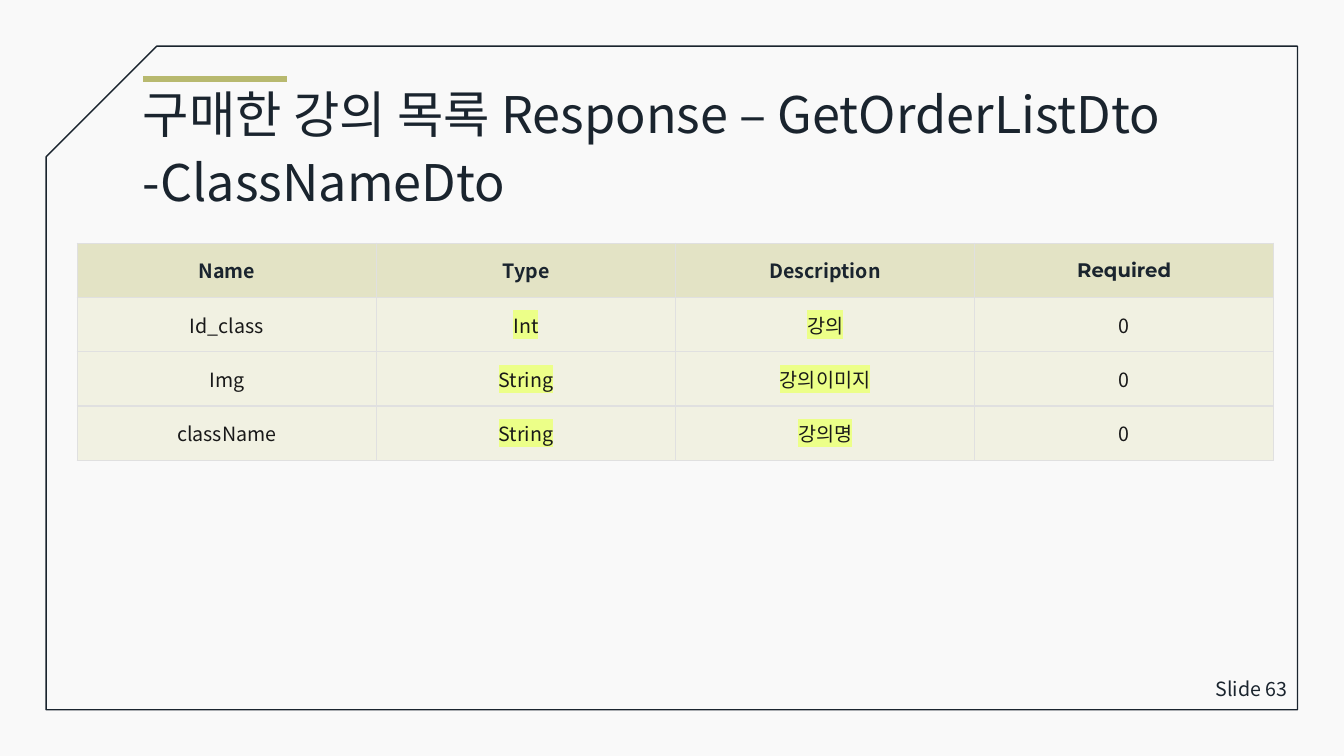
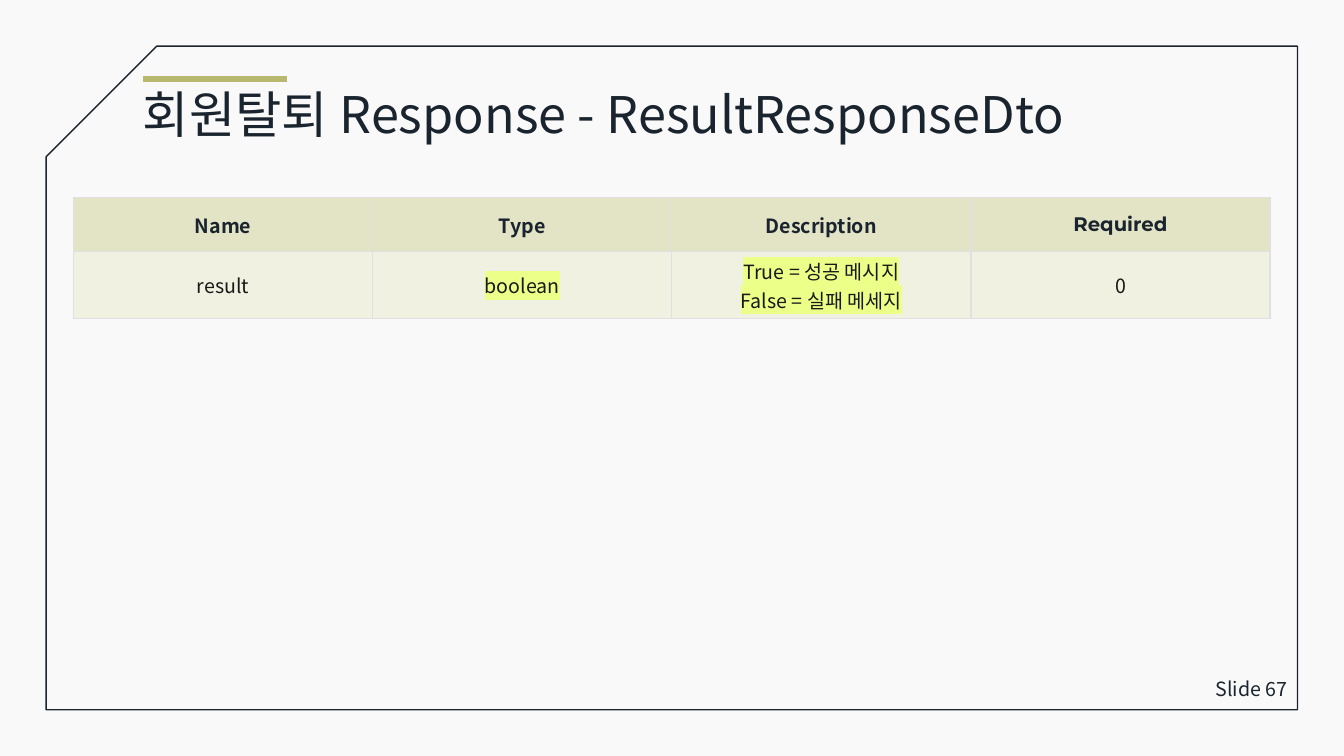
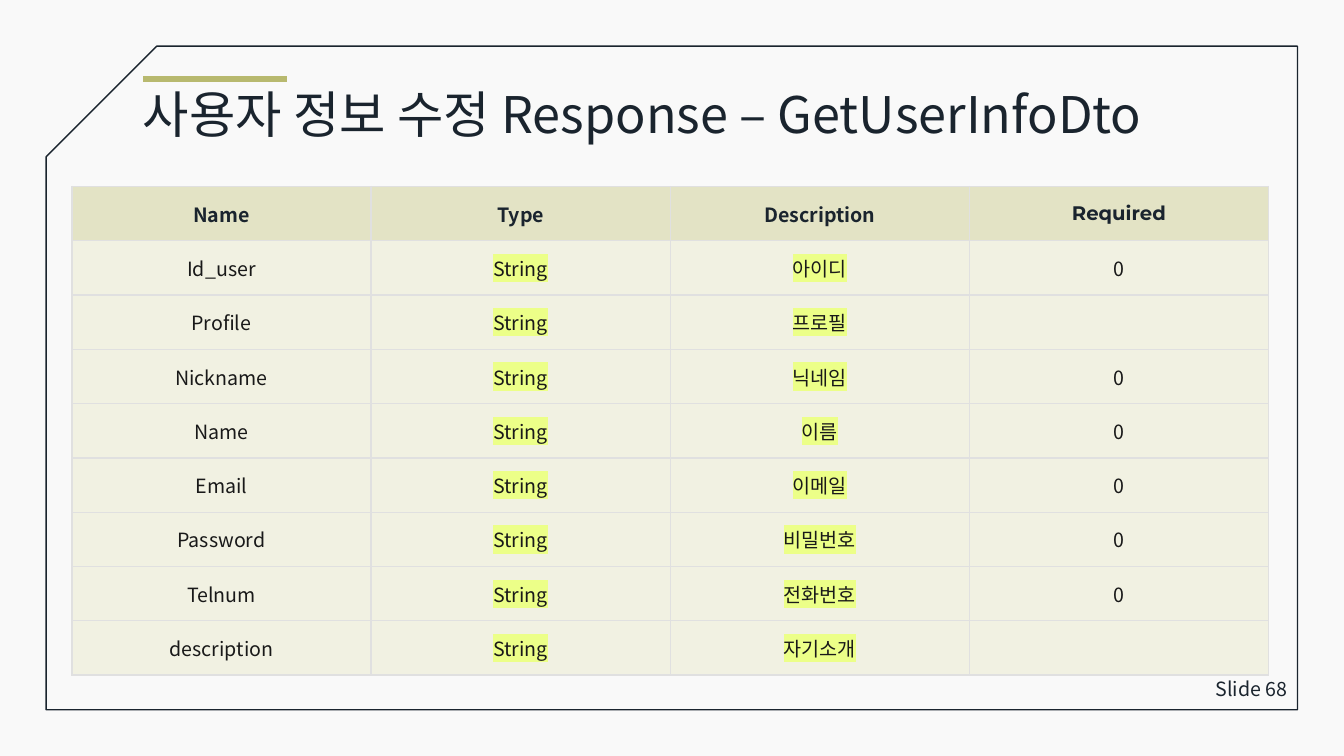
from lxml.etree import SubElement
from pptx import Presentation
from pptx.dml.color import RGBColor
from pptx.enum.shapes import MSO_CONNECTOR, MSO_SHAPE
from pptx.enum.text import MSO_ANCHOR, PP_ALIGN
from pptx.oxml.ns import qn
from pptx.util import Pt

HUES = {
    "paper": "F9F9F9",
    "ink": "1A242E",
    "olive": "B8B96F",
    "head": "E3E3C5",
    "body": "F1F1E2",
    "black": "191919",
    "mark": "ECFF88",
    "rule": "E0E0E0",
}
SANS = "Noto Sans CJK KR"
HEADS = ("Name", "Type", "Description", "Required")


def hue(name):
    return RGBColor.from_string(HUES[name])


def write(frame, text, size=14, color="ink", face=SANS, bold=False,
          align=PP_ALIGN.LEFT, mark=None, line=None, gap=0):
    for at, part in enumerate(text.split("\n")):
        para = frame.add_paragraph() if at else frame.paragraphs[0]
        para.alignment = align
        if line:
            para.line_spacing = line
        if at and gap:
            para.space_before = Pt(gap)
        run = para.add_run()
        run.text = part
        font = run.font
        font.size = Pt(size)
        font.bold = bold
        font.name = face
        font.color.rgb = hue(color)
        props = run._r.get_or_add_rPr()
        east = SubElement(props, qn("a:ea"), typeface=face)
        props.find(qn("a:latin")).addnext(east)
        if mark:
            glow = SubElement(props, qn("a:highlight"))
            SubElement(glow, qn("a:srgbClr"), val=HUES[mark])
            props.find(qn("a:solidFill")).addnext(glow)


class Deck:
    def __init__(self):
        self.file = Presentation()
        self.file.slide_width = Pt(960)
        self.file.slide_height = Pt(540)
        self.slide = None

    def page(self, title, number):
        self.slide = self.file.slides.add_slide(self.file.slide_layouts[6])
        fill = self.slide.background.fill
        fill.solid()
        fill.fore_color.rgb = hue("paper")
        self.frame(33, 33, 893.8, 474)
        self.bar(102.2, 205.2, 56.4)
        self.text(f"Slide {number}", 832.5, 477.4, 94.3, 29.5,
                  anchor=MSO_ANCHOR.MIDDLE, align=PP_ALIGN.RIGHT)
        self.text(title, 95, 60.5, 832.3, 50.4, size=36, line=0.9, gap=10)

    def frame(self, left, top, wide, high):
        shape = self.slide.shapes.add_shape(
            MSO_SHAPE.SNIP_1_RECTANGLE, Pt(left), Pt(top), Pt(wide), Pt(high))
        shape.shadow.inherit = False
        shape.fill.background()
        shape.line.color.rgb = hue("ink")
        shape.line.width = Pt(1)
        shape._element.spPr.find(qn("a:xfrm")).set("flipH", "1")

    def bar(self, left, right, top):
        line = self.slide.shapes.add_connector(
            MSO_CONNECTOR.STRAIGHT, Pt(left), Pt(top), Pt(right), Pt(top))
        line.line.color.rgb = hue("olive")
        line.line.width = Pt(4)
        SubElement(line._element.spPr, qn("a:effectLst"))

    def text(self, text, left, top, wide, high, anchor=MSO_ANCHOR.TOP, **style):
        box = self.slide.shapes.add_textbox(
            Pt(left), Pt(top), Pt(wide), Pt(high))
        box.text_frame.word_wrap = True
        box.text_frame.vertical_anchor = anchor
        write(box.text_frame, text, **style)

    def cell(self, cell, text, fill, **style):
        props = cell._tc.get_or_add_tcPr()
        for side in "LRTB":
            edge = SubElement(props, qn(f"a:ln{side}"), w=str(Pt(1)))
            paint = SubElement(edge, qn("a:solidFill"))
            SubElement(paint, qn("a:srgbClr"), val=HUES["rule"])
        cell.fill.solid()
        cell.fill.fore_color.rgb = hue(fill)
        cell.vertical_anchor = MSO_ANCHOR.MIDDLE
        if text:
            write(cell.text_frame, text, align=PP_ALIGN.CENTER, **style)

    def table(self, left, top, rows, wide=854.8, high=38.8, line=20.4, pad=7.2):
        highs = [max(high, pad + line * max(text.count("\n") + 1 for text in row))
                 for row in (HEADS, *rows)]
        grid = self.slide.shapes.add_table(
            len(highs), len(HEADS), Pt(left), Pt(top), Pt(wide),
            Pt(sum(highs))).table
        grid.first_row = False
        grid.horz_banding = False
        for row, size in zip(grid.rows, highs):
            row.height = Pt(size)
        for col, head in enumerate(HEADS):
            grid.columns[col].width = Pt(wide / len(HEADS))
            face = "Montserrat" if head == "Required" else SANS
            self.cell(grid.cell(0, col), head, "head", face=face, bold=True)
        for at, row in enumerate(rows, 1):
            for col, text in enumerate(row):
                mark = "mark" if col in (1, 2) else None
                self.cell(grid.cell(at, col), text, "body",
                          color="black", mark=mark)


def main():
    deck = Deck()

    deck.page("구매한 강의 목록 Response – GetOrderListDto\n-ClassNameDto", 63)
    deck.table(55.2, 173.7, [
        ("Id_class", "Int", "강의", "0"),
        ("Img", "String", "강의이미지", "0"),
        ("className", "String", "강의명", "0"),
    ])

    deck.page("회원탈퇴 Response - ResultResponseDto", 67)
    deck.table(52.5, 141, [
        ("result", "boolean", "True = 성공 메시지\nFalse = 실패 메세지", "0"),
    ])

    deck.page("사용자 정보 수정 Response – GetUserInfoDto", 68)
    deck.table(51.4, 133.2, [
        ("Id_user", "String", "아이디", "0"),
        ("Profile", "String", "프로필", ""),
        ("Nickname", "String", "닉네임", "0"),
        ("Name", "String", "이름", "0"),
        ("Email", "String", "이메일", "0"),
        ("Password", "String", "비밀번호", "0"),
        ("Telnum", "String", "전화번호", "0"),
        ("description", "String", "자기소개", ""),
    ])

    deck.file.save("out.pptx")


if __name__ == "__main__":
    main()
